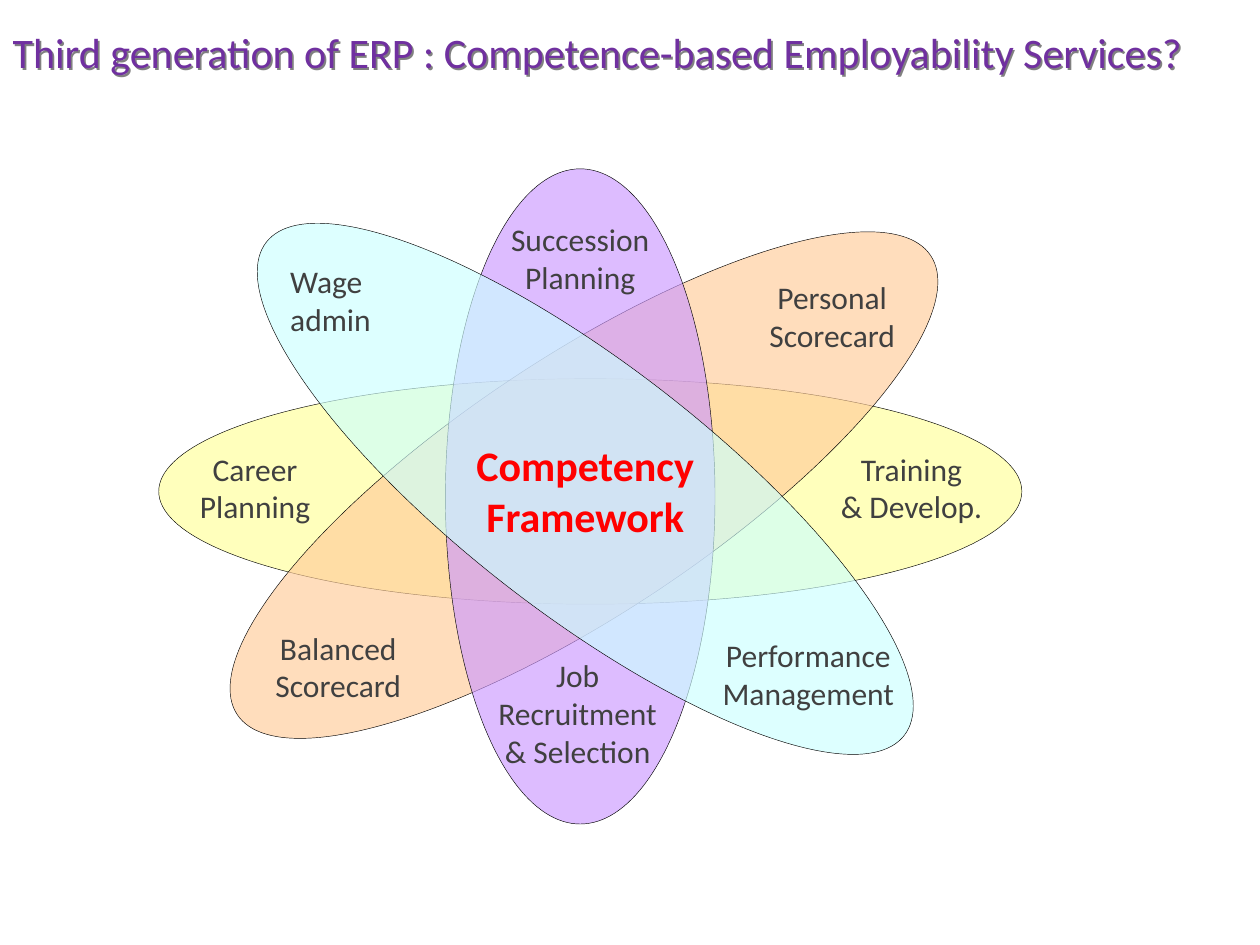
import pptx
import pptx.util
import pptx.dml.color
import pptx.enum.shapes
import pptx.enum.text
import pptx.oxml
import pptx.oxml.ns
from dataclasses import dataclass
from lxml import etree

Inches = pptx.util.Inches
ALIGN = pptx.enum.text.PP_ALIGN
qn = pptx.oxml.ns.qn


@dataclass(frozen=True)
class Theme:
    font: str = "Calibri"
    title: str = "7030A0"
    label: str = "404040"
    core: str = "FF0000"
    line: str = "000000"
    shadow: str = "808080"
    yellow: str = "FFFF99"
    orange: str = "FFCC99"
    violet: str = "CC99FF"
    cyan: str = "CCFFFF"
    heading_size: int = 24
    label_size: int = 18
    line_width: float = 0.25
    opacity: int = 65


T = Theme()

PETALS = [
    (0, -0.04, 6.85, 1.79, 0, T.yellow),
    (-0.05, -0.09, 6.6, 2.04, 326.5, T.orange),
    (-0.08, 0, 5.2, 2.14, 90, T.violet),
    (-0.04, -0.06, 6.4, 1.98, 37.7, T.cyan),
]

LABELS = [
    (-2.03, -1.56, 0.9, ["Wage", "admin"], ALIGN.LEFT),
    (-2.66, -0.07, 1.2, ["Career", "Planning"], ALIGN.CENTER),
    (-0.1, 1.72, 1.6, ["Job", "Recruitment", "& Selection"], ALIGN.CENTER),
    (1.73, 1.41, 1.65, ["Performance", "Management"], ALIGN.CENTER),
    (2.55, -0.07, 1.4, ["Training", "& Develop."], ALIGN.CENTER),
    (-0.08, -1.89, 1.4, ["Succession", "Planning"], ALIGN.CENTER),
    (-2, 1.35, 1.3, ["Balanced", "Scorecard"], ALIGN.CENTER),
    (1.92, -1.43, 1.3, ["Personal", "Scorecard"], ALIGN.CENTER),
]


def rgb(value):
    return pptx.dml.color.RGBColor.from_string(value)


def set_all(obj, values):
    for name, value in values.items():
        setattr(obj, name, value)


def format_run(r, size, color, bold=False):
    set_all(r.font, {"name": T.font, "size": pptx.util.Pt(size), "bold": bold})
    r.font.color.rgb = rgb(color)


def centred(cx, cy, w, h):
    return Inches(cx - w / 2), Inches(cy - h / 2), Inches(w), Inches(h)


def add_shadow(sp):
    effects = etree.SubElement(sp._element.spPr, qn("a:effectLst"))
    shadow = etree.SubElement(effects, qn("a:outerShdw"), dist="17961", dir="2700000")
    etree.SubElement(shadow, qn("a:srgbClr"), val=T.shadow)


def add_title(s, x, y, w, h, text):
    sp = s.shapes.title
    set_all(sp, {"left": Inches(x), "top": Inches(y),
                 "width": Inches(w), "height": Inches(h)})
    sp.fill.background()
    add_shadow(sp)
    tf = sp.text_frame
    set_all(tf, {"word_wrap": True, "auto_size": pptx.enum.text.MSO_AUTO_SIZE.NONE,
                 "vertical_anchor": pptx.enum.text.MSO_ANCHOR.TOP})
    p = tf.paragraphs[0]
    p.alignment = ALIGN.LEFT
    r = p.add_run()
    r.text = text
    format_run(r, T.heading_size, T.title)


def add_petal(s, cx, cy, w, h, angle, color):
    sp = s.shapes.add_shape(pptx.enum.shapes.MSO_SHAPE.OVAL, *centred(cx, cy, w, h))
    sp.rotation = angle
    sp.shadow.inherit = False
    sp.fill.solid()
    sp.fill.fore_color.rgb = rgb(color)
    clr = sp._element.spPr.find(qn("a:solidFill")).find(qn("a:srgbClr"))
    etree.SubElement(clr, qn("a:alpha"), val=str(T.opacity * 1000))
    sp.line.color.rgb = rgb(T.line)
    sp.line.width = pptx.util.Pt(T.line_width)


def add_label(s, cx, cy, w, lines, align, size, color, bold=False):
    h = 0.1 + len(lines) * size / 60
    tf = s.shapes.add_textbox(*centred(cx, cy, w, h)).text_frame
    set_all(tf, {"word_wrap": False,
                 "auto_size": pptx.enum.text.MSO_AUTO_SIZE.SHAPE_TO_FIT_TEXT})
    for i, line in enumerate(lines):
        p = tf.add_paragraph() if i else tf.paragraphs[0]
        p.alignment = align
        r = p.add_run()
        r.text = line
        format_run(r, size, color, bold)


def add_flower(s, x, y, w, h):
    cx, cy = x + w / 2, y + h / 2
    for dx, dy, *petal in PETALS:
        add_petal(s, cx + dx, cy + dy, *petal)
    for dx, dy, *label in LABELS:
        add_label(s, cx + dx, cy + dy, *label, T.label_size, T.label)
    add_label(s, cx - 0.04, cy - 0.05, 2, ["Competency", "Framework"],
              ALIGN.CENTER, T.heading_size, T.core, True)


def main():
    prs = pptx.Presentation()
    set_all(prs, {"slide_width": Inches(10), "slide_height": Inches(7.5)})
    s = prs.slides.add_slide(prs.slide_layouts.get_by_name("Title Only"))
    add_title(s, 0, 0.16, 10, 0.5,
              "Third generation of ERP : Competence-based Employability Services?")
    add_flower(s, 1.26, 1.34, 6.85, 5.2)
    prs.save("out.pptx")


if __name__ == "__main__":
    main()
